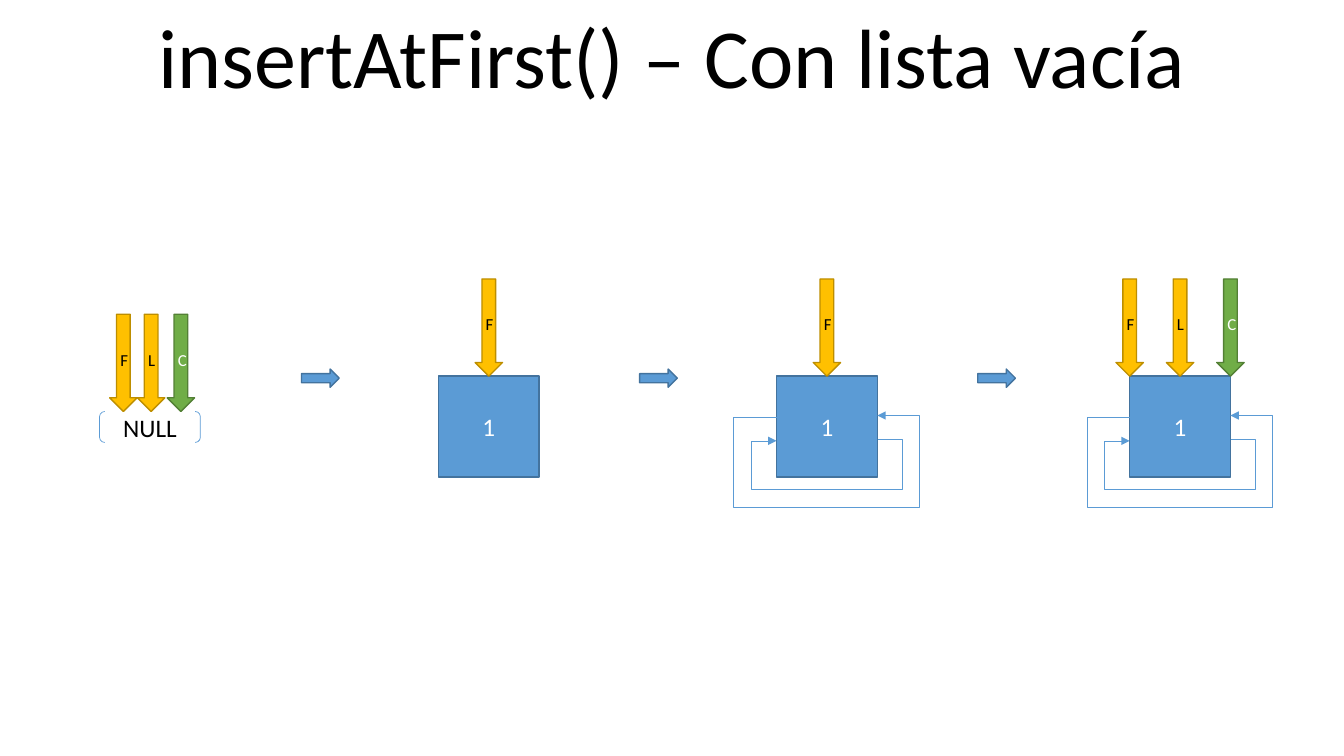
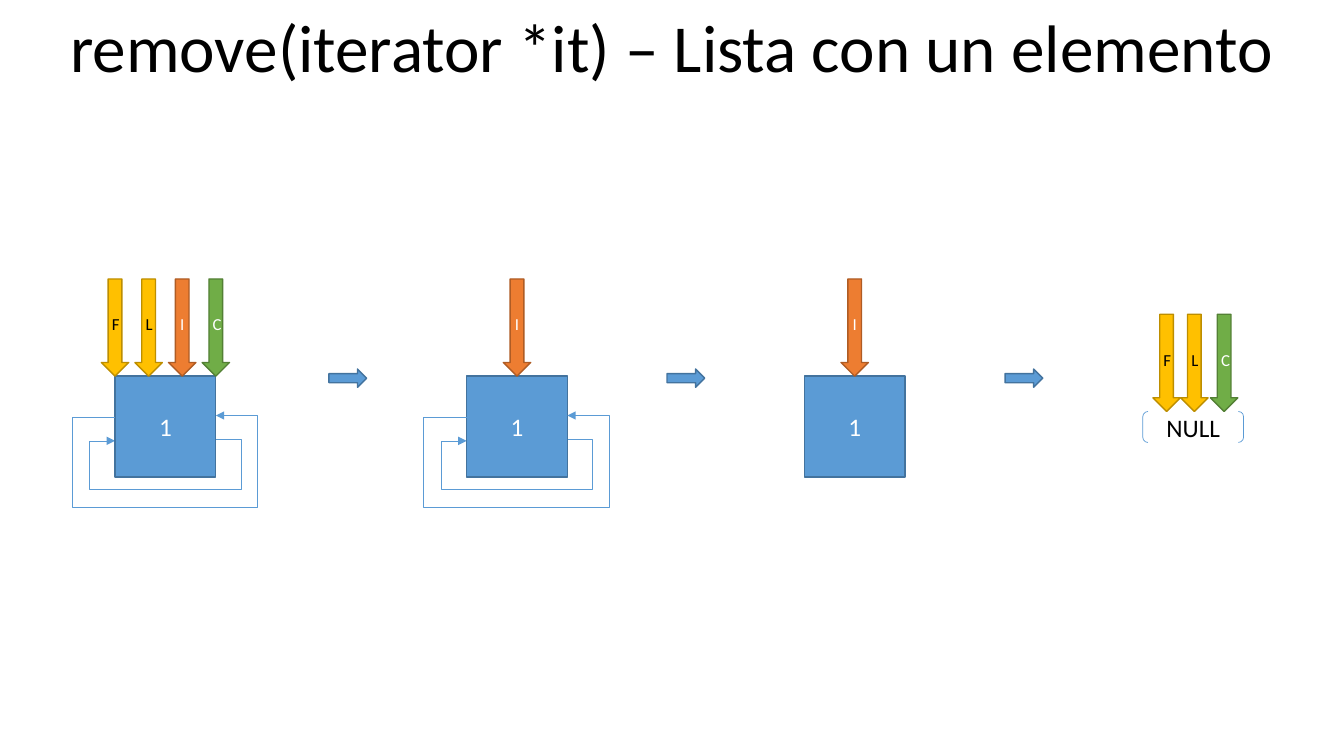
from dataclasses import dataclass

from lxml import etree
from pptx import Presentation
from pptx.dml.color import RGBColor
from pptx.enum.shapes import MSO_CONNECTOR, MSO_SHAPE
from pptx.enum.text import MSO_ANCHOR, MSO_AUTO_SIZE, PP_ALIGN
from pptx.oxml.ns import qn
from pptx.slide import Slide
from pptx.util import Cm, Pt

DOWN = MSO_SHAPE.DOWN_ARROW
RIGHT = MSO_SHAPE.RIGHT_ARROW
RECT = MSO_SHAPE.RECTANGLE
PAIR = MSO_SHAPE.DOUBLE_BRACKET
ELBOW = MSO_CONNECTOR.ELBOW
MID = MSO_ANCHOR.MIDDLE
CENTER = PP_ALIGN.CENTER
GROW = MSO_AUTO_SIZE.SHAPE_TO_FIT_TEXT

FONT = "Calibri"
COLORS = {
    "black": "000000", "white": "FFFFFF",
    "blue": "5B9BD5", "navy": "43739E",
    "gold": "FFC000", "brown": "BD8E00",
    "green": "70AD47", "moss": "538035",
    "orange": "ED7D31", "rust": "AF5C24",
}

WIDTH, HEIGHT = 33.87, 19.05
BOX, BOX_TOP = 2.54, 9.48
PIN_W, PIN_H = 0.69, 2.45
NULL_TOP, NULL_H = 10.37, 0.78
NULL_PINS = (0.6, 1.3, 2.05)
STEP_W, STEP_H, STEP_TOP, STEP_GAP = 0.95, 0.46, 9.3, 8.52


@dataclass(frozen=True)
class Style:
    fill: str | None
    line: str
    text: str
    width: float = 1


@dataclass(frozen=True)
class Loop:
    top: float
    out: float
    back: float
    drop: float
    turned: bool = False
    rise: float = 0.04


@dataclass(frozen=True)
class Node:
    left: float
    pins: str
    linked: bool = False


@dataclass(frozen=True)
class Page:
    title: str
    size: int
    height: float
    null: float
    steps: float
    nodes: tuple[Node, ...]


GOLD = Style("gold", "brown", "black")
PINS = {
    "F": GOLD,
    "L": GOLD,
    "I": Style("orange", "rust", "white"),
    "C": Style("green", "moss", "white"),
}
BLUE = Style("blue", "navy", "white")
OPEN = Style(None, "blue", "black", 0.5)

INNER = Loop(11.07, 0.64, 0.64, 1.27)
OUTER = Loop(10.47, 1.08, 1.05, -2.27, True)

PAGES = (
    Page("insertAtFirst() – Con lista vacía", 60, 2.82, 2.51, 7.6,
         (Node(11.05, "F"), Node(19.57, "F", True), Node(28.47, "FLC", True))),
    Page("remove(iterator *it) – Lista con un elemento", 48, 2.31, 28.8, 8.29,
         (Node(2.9, "FLIC", True), Node(11.76, "I", True), Node(20.27, "I"))),
)


def tint(name: str) -> RGBColor:
    return RGBColor.from_string(COLORS[name])


def write(frame, text: str, size: int, color: str) -> None:
    frame.word_wrap = True
    para = frame.paragraphs[0]
    para.text = text
    para.alignment = CENTER
    para.font.name = FONT
    para.font.size = Pt(size)
    para.font.color.rgb = tint(color)


def draw(slide: Slide, kind: MSO_SHAPE, left: float, top: float, width: float,
         height: float, style: Style, text: str = "", size: int = 18) -> None:
    shape = slide.shapes.add_shape(kind, Cm(left), Cm(top), Cm(width), Cm(height))
    shape.shadow.inherit = False
    if style.fill:
        shape.fill.solid()
        shape.fill.fore_color.rgb = tint(style.fill)
    else:
        shape.fill.background()
    shape.line.color.rgb = tint(style.line)
    shape.line.width = Pt(style.width)
    if text:
        shape.text_frame.vertical_anchor = MID
        write(shape.text_frame, text, size, style.text)


def pin(slide: Slide, name: str, center: float, tip: float) -> None:
    draw(slide, DOWN, center - PIN_W / 2, tip - PIN_H, PIN_W, PIN_H,
         PINS[name], name, 12)


def link(slide: Slide, left: float, loop: Loop) -> None:
    wire = slide.shapes.add_connector(ELBOW, Cm(left + BOX), Cm(loop.top),
                                      Cm(left), Cm(loop.top + loop.rise))
    wire.line.color.rgb = tint("blue")
    wire.line.width = Pt(0.5)
    props = wire.element.spPr
    if loop.turned:
        props.find(qn("a:xfrm")).set("rot", "10800000")
    geom = props.find(qn("a:prstGeom"))
    geom.set("prst", "bentConnector5")
    guides = geom.find(qn("a:avLst"))
    if guides is None:
        guides = etree.SubElement(geom, qn("a:avLst"))
    bends = (-loop.out / BOX, loop.drop / loop.rise, 1 + loop.back / BOX)
    for index, bend in enumerate(bends, 1):
        etree.SubElement(guides, qn("a:gd"), name=f"adj{index}",
                         fmla=f"val {round(bend * 100000)}")
    etree.SubElement(props.find(qn("a:ln")), qn("a:tailEnd"), type="triangle")
    etree.SubElement(props, qn("a:effectLst"))


def node(slide: Slide, item: Node) -> None:
    if item.linked:
        link(slide, item.left, INNER)
    draw(slide, RECT, item.left, BOX_TOP, BOX, BOX, BLUE, "1")
    if item.linked:
        link(slide, item.left, OUTER)
    last = len(item.pins) - 1
    for index, name in enumerate(item.pins):
        share = index / last if last else 0.5
        pin(slide, name, item.left + BOX * share, BOX_TOP)


def null(slide: Slide, left: float) -> None:
    for name, shift in zip("FLC", NULL_PINS):
        pin(slide, name, left + shift, NULL_TOP)
    draw(slide, PAIR, left, NULL_TOP, BOX, NULL_H, OPEN, "NULL")


def build(slide: Slide, page: Page) -> None:
    title = slide.shapes.add_textbox(Cm(0), Cm(0), Cm(WIDTH), Cm(page.height))
    write(title.text_frame, page.title, page.size, "black")
    title.text_frame.auto_size = GROW
    null(slide, page.null)
    for index in range(3):
        draw(slide, RIGHT, page.steps + index * STEP_GAP, STEP_TOP,
             STEP_W, STEP_H, BLUE)
    for item in page.nodes:
        node(slide, item)


def main() -> None:
    deck = Presentation()
    deck.slide_width, deck.slide_height = Cm(WIDTH), Cm(HEIGHT)
    blank = deck.slide_layouts[6]
    for page in PAGES:
        build(deck.slides.add_slide(blank), page)
    deck.save("out.pptx")


if __name__ == "__main__":
    main()
